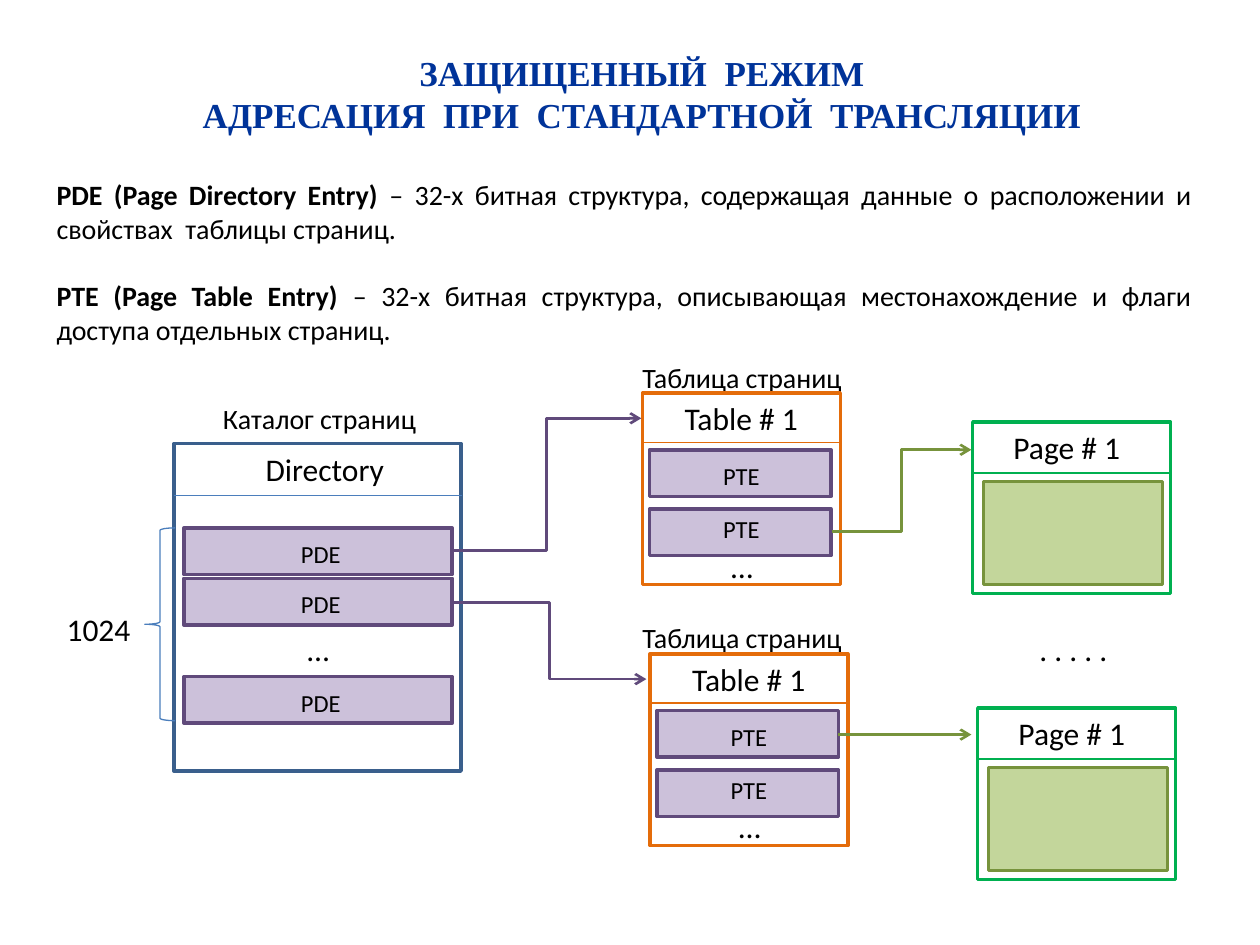
import pptx
import pptx.util
import pptx.dml.color
import pptx.enum.shapes
import pptx.enum.text
import pptx.oxml
import pptx.oxml.ns

COLORS = {
    "title": "003399", "text": "000000", "directory": "3A5F8C", "thin": "4B7EBC",
    "entry": "CCC1DA", "entry_edge": "604A7B", "table": "E46C0A",
    "page": "00B050", "frame": "C3D69B", "frame_edge": "77933C",
}
ALIGN = pptx.enum.text.PP_ALIGN
ANCHOR = pptx.enum.text.MSO_ANCHOR
SHAPE = pptx.enum.shapes.MSO_SHAPE
CONNECTOR = pptx.enum.shapes.MSO_CONNECTOR
COLUMNS, ROWS = 100, 75


def rgb(name):
    return pptx.dml.color.RGBColor.from_string(COLORS[name])


def write(frame, text, size=18, font="Calibri", color="text", bold=False,
          align=ALIGN.LEFT, anchor=ANCHOR.TOP, wrap=False, gap=0):
    frame.word_wrap = wrap
    frame.auto_size = pptx.enum.text.MSO_AUTO_SIZE.NONE
    frame.vertical_anchor = anchor
    for index, line in enumerate(text.split("\n")):
        paragraph = frame.paragraphs[0] if index == 0 else frame.add_paragraph()
        paragraph.alignment = align
        paragraph.space_before = pptx.util.Pt(gap if index else 0)
        lead, _, rest = line.rpartition("|")
        for part, heavy in ((lead, True), (rest, bold)):
            if part:
                run = paragraph.add_run()
                run.text = part
                run.font.size = pptx.util.Pt(size)
                run.font.name = font
                run.font.bold = heavy
                run.font.color.rgb = rgb(color)


class PagingSlide:
    """Draws page-translation structures on a 100 by 75 grid."""

    def __init__(self, deck):
        self.slide = deck.slides.add_slide(deck.slide_layouts[5])
        self.column = deck.slide_width / COLUMNS
        self.row = deck.slide_height / ROWS

    def grid(self, x, y):
        return round(x * self.column), round(y * self.row)

    def title(self, text, x, y, width, height):
        heading = self.slide.shapes.title
        heading.left, heading.top = self.grid(x, y)
        heading.width, heading.height = self.grid(width, height)
        write(heading.text_frame, text, size=20, font="Times New Roman",
              color="title", bold=True, align=ALIGN.CENTER, wrap=True)

    def text(self, text, x, y, width, height=4, **style):
        box = self.slide.shapes.add_textbox(*self.grid(x, y), *self.grid(width, height))
        write(box.text_frame, text, **style)

    def box(self, x, y, width, height, edge, fill=None, weight=2, kind=SHAPE.RECTANGLE):
        box = self.slide.shapes.add_shape(kind, *self.grid(x, y), *self.grid(width, height))
        box.shadow.inherit = False
        if fill:
            box.fill.solid()
            box.fill.fore_color.rgb = rgb(fill)
        else:
            box.fill.background()
        box.line.color.rgb = rgb(edge)
        box.line.width = pptx.util.Pt(weight)

    def line(self, start, end, color, weight=0.75, kind=CONNECTOR.STRAIGHT, arrow=False):
        line = self.slide.shapes.add_connector(kind, *self.grid(*start), *self.grid(*end))
        line.line.color.rgb = rgb(color)
        line.line.width = pptx.util.Pt(weight)
        properties = line._element.spPr
        if arrow:
            tip = pptx.oxml.parse_xml(
                f'<a:tailEnd {pptx.oxml.ns.nsdecls("a")} type="arrow"/>')
            properties.find(pptx.oxml.ns.qn("a:ln")).append(tip)
        properties.append(pptx.oxml.parse_xml(
            f'<a:effectLst {pptx.oxml.ns.nsdecls("a")}/>'))

    def arrow(self, start, end, color, kind=CONNECTOR.ELBOW):
        self.line(start, end, color, weight=1.5, kind=kind, arrow=True)

    def entry(self, name, x, y, width, label_x, label_y, label_width):
        self.box(x, y, width, 3.7, "entry_edge", "entry")
        self.text(name, label_x, label_y, label_width, size=14, anchor=ANCHOR.BOTTOM)

    def directory(self, x, y):
        self.text("Каталог страниц", x + 2.9, y - 3.8, 17.5, 3.7, size=16)
        self.box(x, y, 22.8, 26, "directory")
        self.text("Directory", x + 6.3, y, 11.5)
        self.line((x, y + 4.1), (x + 22.9, y + 4.1), "thin")
        for offset in (6.7, 10.7, 18.5):
            self.entry("PDE", x + 0.8, y + offset, 21.3, x + 9.1, y + offset - 0.3, 5.8)
        self.text("…", x + 9.6, y + 14.3, 3.8)
        self.box(x - 2.3, y + 6.7, 2.4, 15.3, "thin", weight=0.75, kind=SHAPE.LEFT_BRACE)
        self.text("1024", x - 9.5, y + 12.7, 7.1)

    def table(self, x, y):
        self.text("Таблица страниц", 50, y - 3.1, 18, 3.7, size=16)
        self.box(x, y, 15.7, 15.2, "table")
        self.text("Table # 1", x + 2.35, y, 11.1)
        self.line((x, y + 3.9), (x + 15.75, y + 3.9), "table")
        for offset, label in ((4.5, 4.2), (9.2, 8.4)):
            self.entry("PTE", x + 0.55, y + offset, 14.4, x + 5.4, y + label, 5.1)
        self.text("…", x + 6.05, y + 11.7, 3.8)

    def page(self, x, y):
        self.box(x, y, 15.7, 13.6, "page")
        self.text("Page # 1", x + 2.25, y, 10.6)
        self.line((x, y + 4.05), (x + 15.7, y + 4.05), "page")
        self.box(x + 0.85, y + 4.7, 14.2, 8.2, "frame_edge", "frame")


def main():
    deck = pptx.Presentation()
    deck.slide_width = pptx.util.Inches(10)
    deck.slide_height = pptx.util.Inches(7.5)
    paging = PagingSlide(deck)
    paging.title("ЗАЩИЩЕННЫЙ  РЕЖИМ\nАДРЕСАЦИЯ  ПРИ  СТАНДАРТНОЙ  ТРАНСЛЯЦИИ",
                 4.3, 3.6, 93.3, 7.7)
    paging.text(
        "PDE (Page Directory Entry) |– 32-х битная структура, содержащая данные "
        "о расположении и свойствах  таблицы страниц.\n"
        "PTE (Page Table Entry) |– 32-х битная структура, описывающая "
        "местонахождение и флаги доступа отдельных страниц.",
        3.5, 13.6, 92.1, 14.5, size=16, align=ALIGN.JUSTIFY, wrap=True, gap=19.5)
    paging.directory(13.8, 35.2)
    for corner in ((51, 31.2), (51.6, 51.9)):
        paging.table(*corner)
    for corner in ((77.2, 33.5), (77.6, 56.2)):
        paging.page(*corner)
    paging.text(". . . . .", 81.5, 49.5, 8.1)
    paging.arrow((35.9, 43.7), (50.9, 33.2), "entry_edge")
    paging.arrow((35.9, 47.8), (51.3, 53.9), "entry_edge")
    paging.arrow((66, 42.2), (77.1, 35.7), "frame_edge")
    paging.arrow((66.5, 58.3), (77.1, 58.3), "frame_edge", CONNECTOR.STRAIGHT)
    deck.save("out.pptx")


if __name__ == "__main__":
    main()
